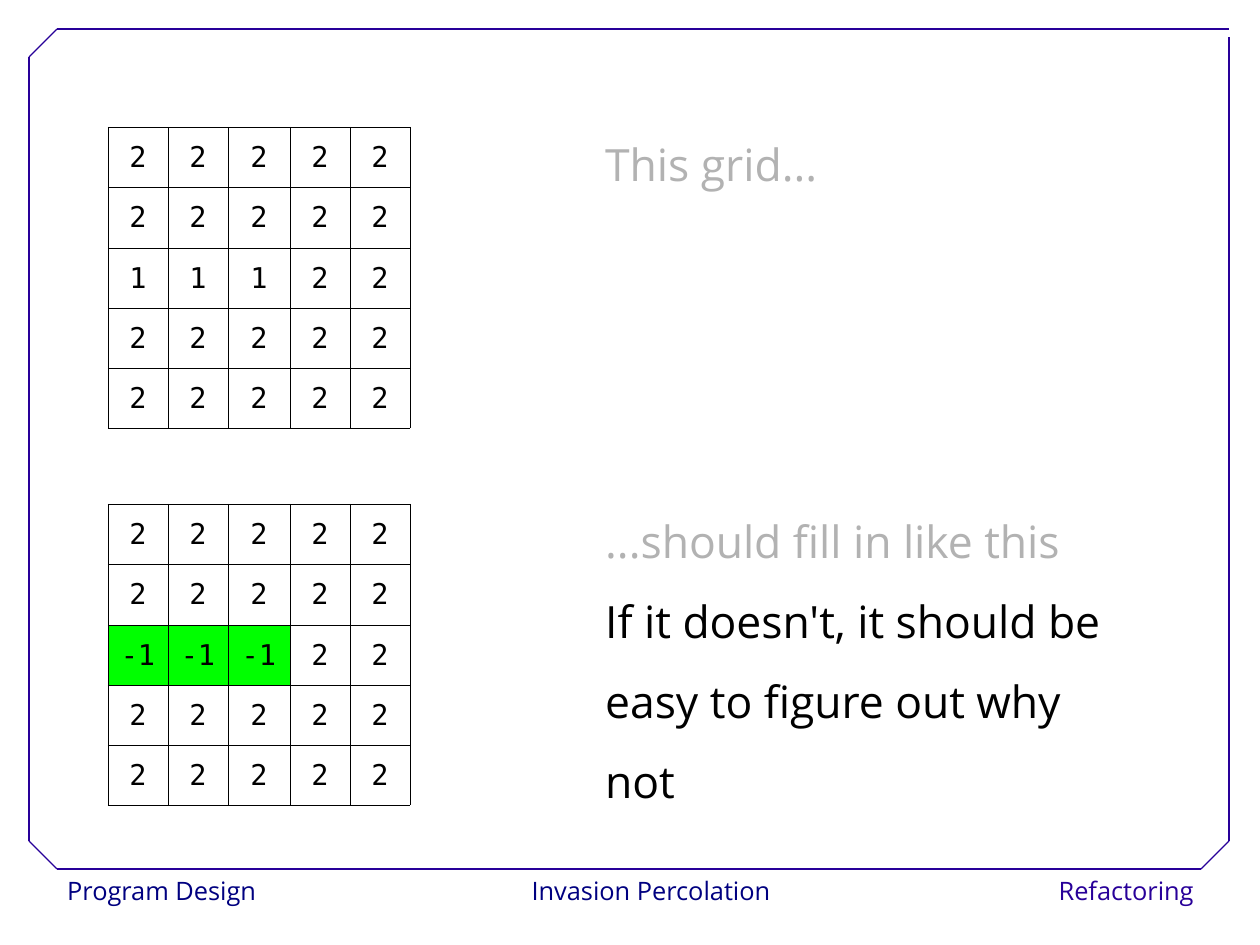
from dataclasses import dataclass

from lxml import etree
from pptx import Presentation
from pptx import util as u
from pptx.dml.color import RGBColor
from pptx.enum import shapes, text
from pptx.oxml import ns

SCALE = 8000  # EMU per px
ALIGN = text.PP_ALIGN


@dataclass(frozen=True)
class Theme:
    sans: str = "Open Sans"
    mono: str = "DejaVu Sans Mono"
    black: str = "000000"
    white: str = "FFFFFF"
    faded: str = "B2B2B2"
    navy: str = "000080"
    violet: str = "280099"
    filled: str = "00FF00"
    footer_size: int = 16
    cell_size: int = 18
    body_size: int = 28
    frame_width: float = 0.75
    grid_width: float = 0.06
    tight_spacing: float = 1.02
    body_spacing: float = 1.5


def px(value):
    return u.Emu(value * SCALE)


def apply(target, **values):
    for name, value in values.items():
        setattr(target, name, value)


class SlideBuilder:
    def __init__(self, slide, theme):
        self.slide = slide
        self.theme = theme

    def set_text(self, paragraph, words, font, size, colour, spacing, align=ALIGN.LEFT):
        apply(paragraph, text=words, alignment=align, line_spacing=spacing)
        apply(paragraph.font, name=font, size=u.Pt(size))
        paragraph.font.color.rgb = RGBColor.from_string(colour)

    def footer(self, words, left, width, colour, align):
        theme = self.theme
        shape = self.slide.shapes.add_shape(
            shapes.MSO_SHAPE.RECTANGLE, px(left), px(869), px(width), px(46))
        shape.shadow.inherit = False
        shape.fill.solid()
        shape.fill.fore_color.rgb = RGBColor.from_string(theme.white)
        shape.line.fill.background()
        apply(shape.text_frame, word_wrap=False, vertical_anchor=text.MSO_ANCHOR.TOP)
        self.set_text(shape.text_frame.paragraphs[0], words, theme.sans,
                      theme.footer_size, colour, theme.tight_spacing, align)

    def line(self, *ends):
        connector = self.slide.shapes.add_connector(
            shapes.MSO_CONNECTOR.STRAIGHT, *map(px, ends))
        connector.line.width = u.Pt(self.theme.frame_width)
        connector.line.color.rgb = RGBColor.from_string(self.theme.violet)
        etree.SubElement(connector._element.spPr, ns.qn("a:effectLst"))

    def cell_borders(self, cell):
        properties = cell._tc.get_or_add_tcPr()
        for side in ("lnL", "lnR", "lnT", "lnB"):
            border = etree.SubElement(properties, ns.qn(f"a:{side}"),
                                      w=str(u.Pt(self.theme.grid_width)))
            fill = etree.SubElement(border, ns.qn("a:solidFill"))
            etree.SubElement(fill, ns.qn("a:srgbClr"), val=self.theme.black)

    def grid(self, left, top, rows):
        theme = self.theme
        widths = (60, 60, 62, 60, 60)
        heights = (60, 61, 60, 60, 60)
        table = self.slide.shapes.add_table(
            len(heights), len(widths), px(left), px(top),
            px(sum(widths)), px(sum(heights))).table
        apply(table, first_row=False, horz_banding=False)
        for column, width in zip(table.columns, widths):
            column.width = px(width)
        for row, height, values in zip(table.rows, heights, rows):
            row.height = px(height)
            for cell, value in zip(row.cells, values):
                self.cell_borders(cell)
                if value < 0:
                    cell.fill.solid()
                    cell.fill.fore_color.rgb = RGBColor.from_string(theme.filled)
                else:
                    cell.fill.background()
                cell.vertical_anchor = text.MSO_ANCHOR.MIDDLE
                self.set_text(cell.text_frame.paragraphs[0], str(value), theme.mono,
                              theme.cell_size, theme.black, theme.tight_spacing,
                              ALIGN.CENTER)

    def note(self, top, height, lines):
        theme = self.theme
        frame = self.slide.shapes.add_textbox(
            px(594), px(top), px(556), px(height)).text_frame
        apply(frame, word_wrap=True, auto_size=text.MSO_AUTO_SIZE.SHAPE_TO_FIT_TEXT)
        for index, (words, colour) in enumerate(lines):
            paragraph = frame.add_paragraph() if index else frame.paragraphs[0]
            self.set_text(paragraph, words, theme.sans, theme.body_size, colour,
                          theme.body_spacing)


def main():
    theme = Theme()
    presentation = Presentation()
    apply(presentation, slide_width=px(1260), slide_height=px(945))
    slide = presentation.slides.add_slide(presentation.slide_layouts[6])
    builder = SlideBuilder(slide, theme)

    # Footer
    builder.footer("Program Design", 56, 206, theme.navy, ALIGN.LEFT)
    builder.footer("Invasion Percolation", 523, 256, theme.navy, ALIGN.CENTER)
    builder.footer("Refactoring", 1045, 160, theme.violet, ALIGN.RIGHT)

    # Frame with three cut corners and an open one at the top right
    left, top, right, bottom, cut = 29, 29, 1229, 869, 28
    for ends in (
        (left + cut, bottom, right - cut, bottom),
        (left, bottom - cut, left, top + cut),
        (left + cut, top, right, top),
        (right, bottom - cut, right, top + 8),
        (left, top + cut, left + cut, top),
        (right - cut, bottom, right, bottom - cut),
        (left, bottom - cut, left + cut, bottom),
    ):
        builder.line(*ends)

    # Grids before and after filling, with their notes
    plain = [2] * 5
    for grid_top, value in ((127, 1), (504, -1)):
        middle = [value] * 3 + [2] * 2
        builder.grid(108, grid_top, [plain, plain, middle, plain, plain])
    builder.note(105, 91, [("This grid...", theme.faded)])
    builder.note(482, 331, [
        ("...should fill in like this", theme.faded),
        ("If it doesn't, it should be", theme.black),
        ("easy to figure out why not", theme.black),
    ])

    presentation.save("out.pptx")


if __name__ == "__main__":
    main()
